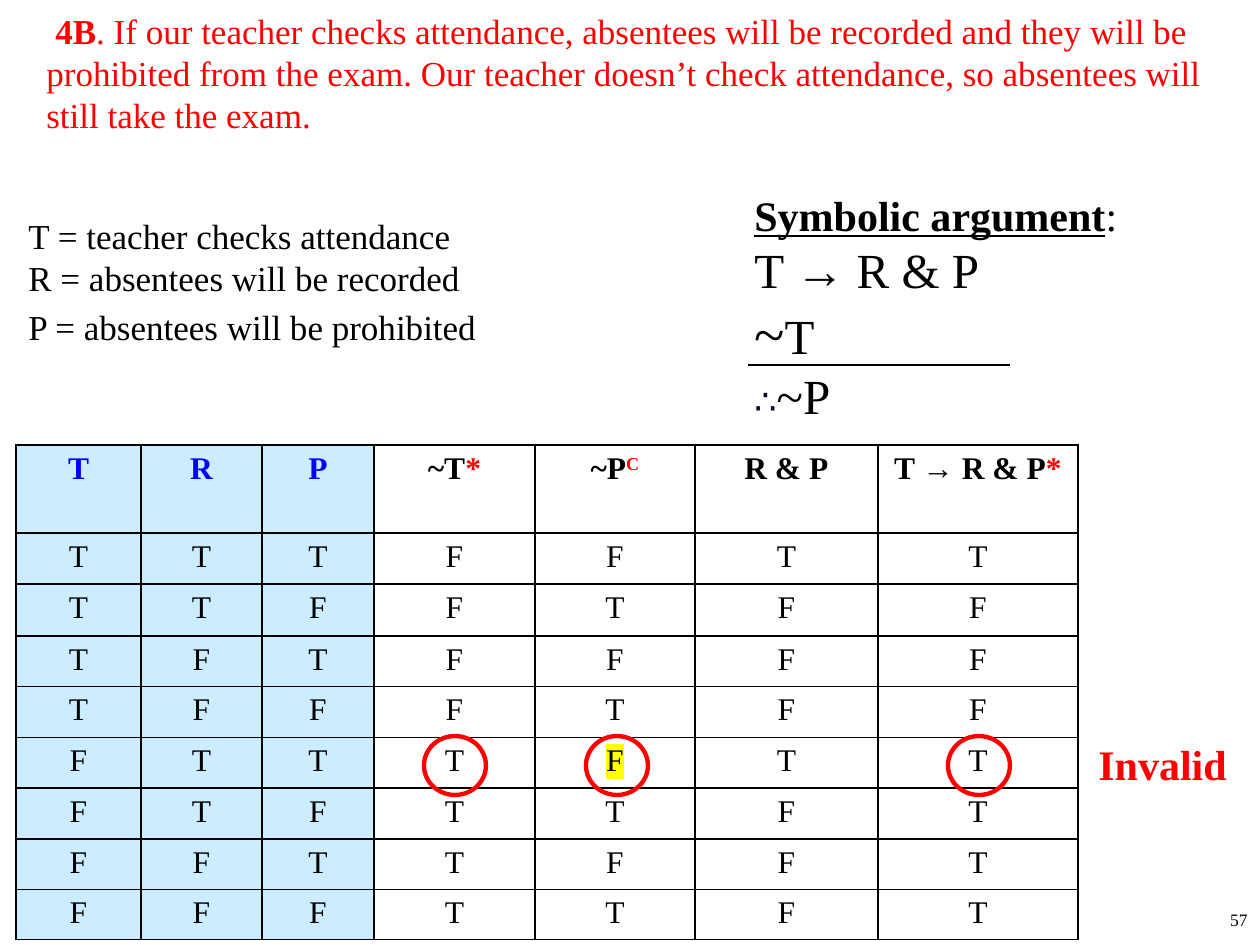
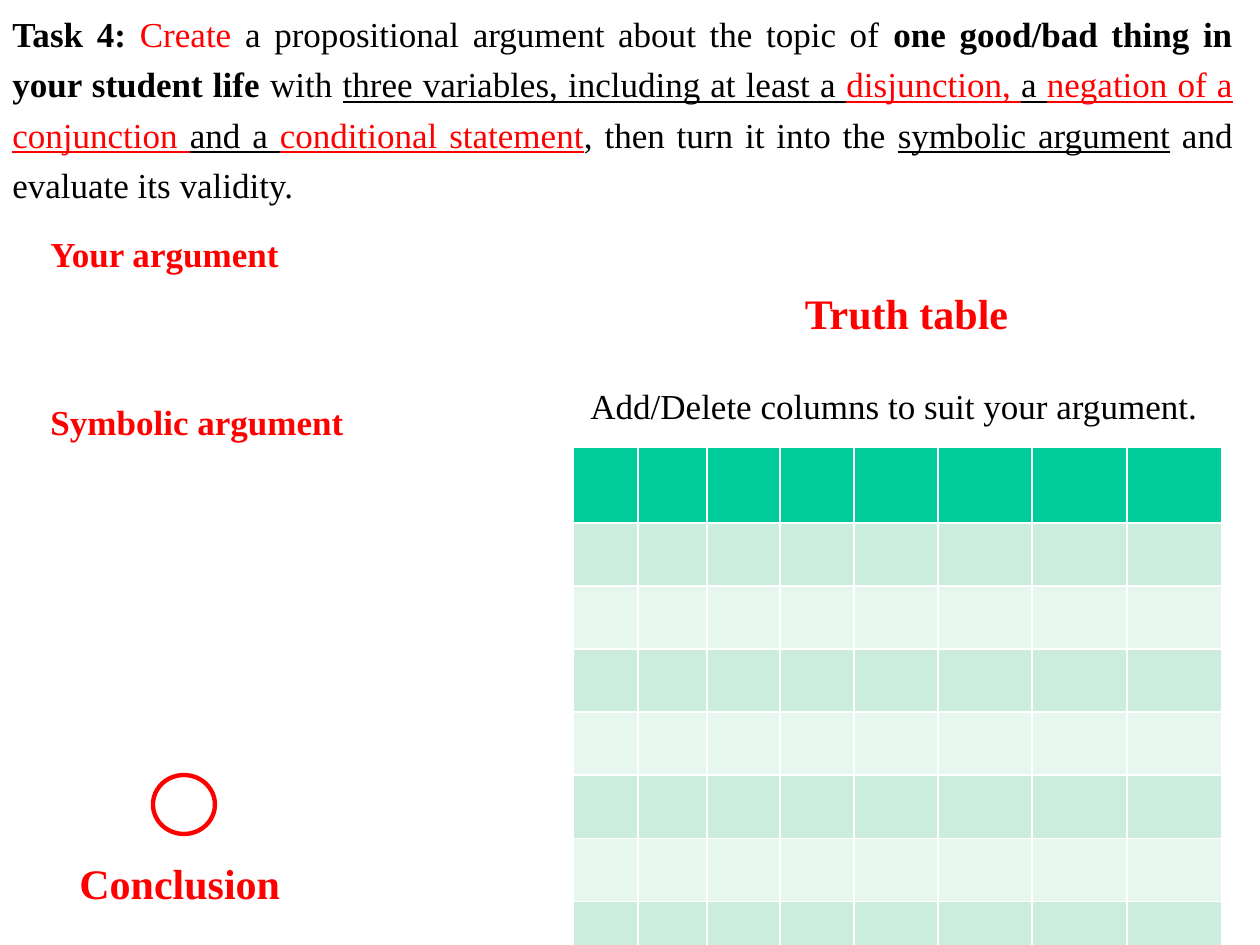
from itertools import product

from lxml import etree
from pptx import Presentation
from pptx.dml.color import RGBColor
from pptx.enum.shapes import MSO_CONNECTOR, MSO_SHAPE
from pptx.enum.text import PP_ALIGN
from pptx.oxml.ns import qn
from pptx.util import Pt

LEFT, CENTER, RIGHT, JUSTIFY = PP_ALIGN.LEFT, PP_ALIGN.CENTER, PP_ALIGN.RIGHT, PP_ALIGN.JUSTIFY
STRAIGHT = MSO_CONNECTOR.STRAIGHT
OVAL = MSO_SHAPE.OVAL

SLIDE_WIDTH, SLIDE_HEIGHT = 1260, 945
EMU_PER_PX = 914400 / 126


class Theme:
    font, symbol_font = "Times New Roman", "Karla"
    black, white, red, blue = "000000", "FFFFFF", "FF0000", "0000FF"
    symbol, highlight = "040C28", "FFFF00"
    variable_fill = "CCECFF"
    header_fill, band_fills = "00CC99", ("CCECDE", "E7F6EF")
    page, cell, body, heading, formula, negation = 10, 18, 20, 24, 28, 32
    ring_line, thin_line, border = 2.5, 0.75, 1


BODY = {"size": Theme.body}
BODY_BOLD = {**BODY, "bold": True}
BODY_LINE = {**BODY, "underline": True}
RED_BODY = {**BODY, "color": Theme.red}
RED_LABEL = {**RED_BODY, "bold": True}
RED_LINE = {**RED_BODY, "underline": True}
FORMULA = {"size": Theme.formula}
HEADING = {"size": Theme.heading, "bold": True}
RED_TITLE = {**HEADING, "color": Theme.red}
CELL = {"size": Theme.cell}
CELL_BOLD = {**CELL, "bold": True}
CELL_BLUE = {**CELL_BOLD, "color": Theme.blue}
CELL_RED = {**CELL_BOLD, "color": Theme.red}

EXERCISE_TEXTS = [
    {"at": (998, 903, 262, 42), "align": RIGHT, "paragraphs": [[("57", {"size": Theme.page})]]},
    {"at": (742, 183, 528, 251), "paragraphs": [
        [("Symbolic argument", {**HEADING, "underline": True}), (":", {"size": Theme.heading})],
        [("T → R & P", FORMULA)],
        [("~", {"size": Theme.negation}), ("T", FORMULA)],
        [("∴", {**BODY, "name": Theme.symbol_font, "color": Theme.symbol}), ("~P", FORMULA)],
    ]},
    {"at": (1086, 732, 198, 63), "paragraphs": [[("Invalid", RED_TITLE)]]},
    {"at": (2, 3, 1257, 103), "margin": 32, "indent": 9, "paragraphs": [[
        ("4B", RED_LABEL),
        (". If our teacher checks attendance, absentees will be recorded and they will be "
         "prohibited from the exam. Our teacher doesn’t check attendance, so absentees will "
         "still take the exam.", RED_BODY),
    ]]},
    {"at": (16, 208, 716, 199), "last_space": 4, "paragraphs": [
        [("T = teacher checks attendance", BODY)],
        [("R = absentees will be recorded", BODY)],
        [("P = absentees will be prohibited", BODY)],
    ]},
]

TRUTH_HEADER = [
    [("T", CELL_BLUE)],
    [("R", CELL_BLUE)],
    [("P", CELL_BLUE)],
    [("~T", CELL_BOLD), ("*", CELL_RED)],
    [("~P", CELL_BOLD), ("C", {**CELL_RED, "baseline": 30000})],
    [("R & P", CELL_BOLD)],
    [("T → R & P", CELL_BOLD), ("*", CELL_RED)],
]
TRUTH_AT = (16, 445)
TRUTH_COLUMNS = (125, 121, 112, 161, 160, 183, 200)
TRUTH_ROWS = (88, 51, 52, 50, 51, 50, 51, 50, 50)
VARIABLE_COUNT = 3
FALSE_CONCLUSION = (5, 4)

CONCLUSION_LINE = (748, 365, 1010, 365)
RING_SIZE = (62, 59)
EXERCISE_RINGS = [(left, 736) for left in (424, 586, 948)]

TASK_TEXTS = [
    {"at": (0, 0, 1245, 212), "align": JUSTIFY, "line_spacing": 1.2, "top": 4, "paragraphs": [[
        ("Task 4: ", BODY_BOLD),
        ("Create", RED_BODY),
        (" a propositional argument about the topic of ", BODY),
        ("one good/bad thing in your student life ", BODY_BOLD),
        ("with ", BODY),
        ("three variables, including at least a ", BODY_LINE),
        ("disjunction, ", RED_LINE),
        ("a ", BODY_LINE),
        ("negation of a conjunction ", RED_LINE),
        ("and a ", BODY_LINE),
        ("conditional statement", RED_LINE),
        (", then turn it into the ", BODY),
        ("symbolic argument", BODY_LINE),
        (" and evaluate its validity.", BODY),
    ]]},
    {"at": (38, 394, 344, 55), "paragraphs": [[("Symbolic argument", RED_LABEL)]]},
    {"at": (710, 281, 393, 63), "align": CENTER, "paragraphs": [[("Truth table", RED_TITLE)]]},
    {"at": (38, 226, 300, 55), "paragraphs": [[("Your argument", RED_LABEL)]]},
    {"at": (67, 851, 393, 63), "paragraphs": [[("Conclusion", RED_TITLE)]]},
    {"at": (578, 378, 658, 55), "paragraphs": [
        [("Add/Delete columns to suit your argument.", BODY)],
    ]},
]
TASK_RINGS = [(153, 775)]
BLANK_AT = (573, 447)
BLANK_COLUMNS = (65, 69, 73, 74, 84, 94, 95, 95)
BLANK_ROWS = (76, *[47] * 8)


def px(length):
    return round(length * EMU_PER_PX)


def color(value):
    return RGBColor.from_string(value)


def add_runs(paragraph, runs):
    for text, style in runs:
        run = paragraph.add_run()
        run.text = text
        values = {"name": Theme.font, "bold": False, **style}
        run.font.color.rgb = color(values.pop("color", Theme.black))
        highlight = values.pop("highlight", None)
        baseline = values.pop("baseline", None)
        values["size"] = Pt(values["size"])
        for attribute, value in values.items():
            setattr(run.font, attribute, value)
        properties = run._r.get_or_add_rPr()
        if baseline:
            properties.set("baseline", str(baseline))
        if highlight:
            mark = etree.Element(qn("a:highlight"))
            etree.SubElement(mark, qn("a:srgbClr"), val=highlight)
            properties.find(qn("a:latin")).addprevious(mark)


def add_text(slide, block):
    frame = slide.shapes.add_textbox(*map(px, block["at"])).text_frame
    frame.word_wrap = True
    if "top" in block:
        frame.margin_top = px(block["top"])
    for index, runs in enumerate(block["paragraphs"]):
        paragraph = frame.add_paragraph() if index else frame.paragraphs[0]
        paragraph.alignment = block.get("align", LEFT)
        paragraph.line_spacing = block.get("line_spacing")
        if "margin" in block:
            properties = paragraph._p.get_or_add_pPr()
            properties.set("marL", str(px(block["margin"])))
            properties.set("indent", str(px(block["indent"])))
        add_runs(paragraph, runs)
    if "last_space" in block:
        paragraph.space_before = Pt(block["last_space"])


def add_ring(slide, position):
    ring = slide.shapes.add_shape(OVAL, *map(px, (*position, *RING_SIZE)))
    ring.shadow.inherit = False
    ring.fill.background()
    ring.line.color.rgb = color(Theme.red)
    ring.line.width = Pt(Theme.ring_line)


def add_line(slide, ends):
    line = slide.shapes.add_connector(STRAIGHT, *map(px, ends))
    line.line.color.rgb = color(Theme.black)
    line.line.width = Pt(Theme.thin_line)
    etree.SubElement(line._element.spPr, qn("a:effectLst"))


def format_cell(cell, fill, border):
    properties = cell._tc.get_or_add_tcPr()
    for side in ("lnL", "lnR", "lnT", "lnB"):
        edge = etree.SubElement(properties, qn(f"a:{side}"), w=str(Pt(Theme.border)))
        paint = etree.SubElement(edge, qn("a:solidFill"))
        etree.SubElement(paint, qn("a:srgbClr"), val=border)
    cell.fill.solid()
    cell.fill.fore_color.rgb = color(fill)


def add_grid(slide, position, columns, rows, border, fill_at):
    size = (sum(columns), sum(rows))
    frame = slide.shapes.add_table(len(rows), len(columns), *map(px, (*position, *size)))
    table = frame.table
    table.first_row = table.horz_banding = False
    for column, width in zip(table.columns, columns):
        column.width = px(width)
    for row_index, (row, height) in enumerate(zip(table.rows, rows)):
        row.height = px(height)
        for column_index, cell in enumerate(row.cells):
            format_cell(cell, fill_at(row_index, column_index), border)
    return table


def truth_rows():
    for t, r, p in product((True, False), repeat=VARIABLE_COUNT):
        both = r and p
        yield ["T" if value else "F" for value in (t, r, p, not t, not p, both, not t or both)]


def truth_fill(row, column):
    return Theme.variable_fill if column < VARIABLE_COUNT else Theme.white


def blank_fill(row, column):
    return Theme.band_fills[(row - 1) % 2] if row else Theme.header_fill


def add_truth_table(slide):
    table = add_grid(slide, TRUTH_AT, TRUTH_COLUMNS, TRUTH_ROWS, Theme.black, truth_fill)
    content = [TRUTH_HEADER] + [[[(value, CELL)] for value in row] for row in truth_rows()]
    row, column = FALSE_CONCLUSION
    content[row][column] = [("F", {**CELL, "highlight": Theme.highlight})]
    for row_index, row in enumerate(content):
        for column_index, runs in enumerate(row):
            paragraph = table.cell(row_index, column_index).text_frame.paragraphs[0]
            paragraph.alignment = CENTER
            add_runs(paragraph, runs)


def add_blank_table(slide):
    table = add_grid(slide, BLANK_AT, BLANK_COLUMNS, BLANK_ROWS, Theme.white, blank_fill)
    for cell in table.iter_cells():
        paragraph = cell.text_frame.paragraphs[0]
        ending = etree.SubElement(paragraph._p, qn("a:endParaRPr"), sz=str(Theme.heading * 100))
        etree.SubElement(ending, qn("a:latin"), typeface=Theme.font)


def add_slide(presentation, texts, rings, add_table):
    slide = presentation.slides.add_slide(presentation.slide_layouts[6])
    for block in texts:
        add_text(slide, block)
    add_table(slide)
    for position in rings:
        add_ring(slide, position)
    return slide


def main():
    presentation = Presentation()
    presentation.slide_width = px(SLIDE_WIDTH)
    presentation.slide_height = px(SLIDE_HEIGHT)
    exercise = add_slide(presentation, EXERCISE_TEXTS, EXERCISE_RINGS, add_truth_table)
    add_line(exercise, CONCLUSION_LINE)
    add_slide(presentation, TASK_TEXTS, TASK_RINGS, add_blank_table)
    presentation.save("out.pptx")


if __name__ == "__main__":
    main()
